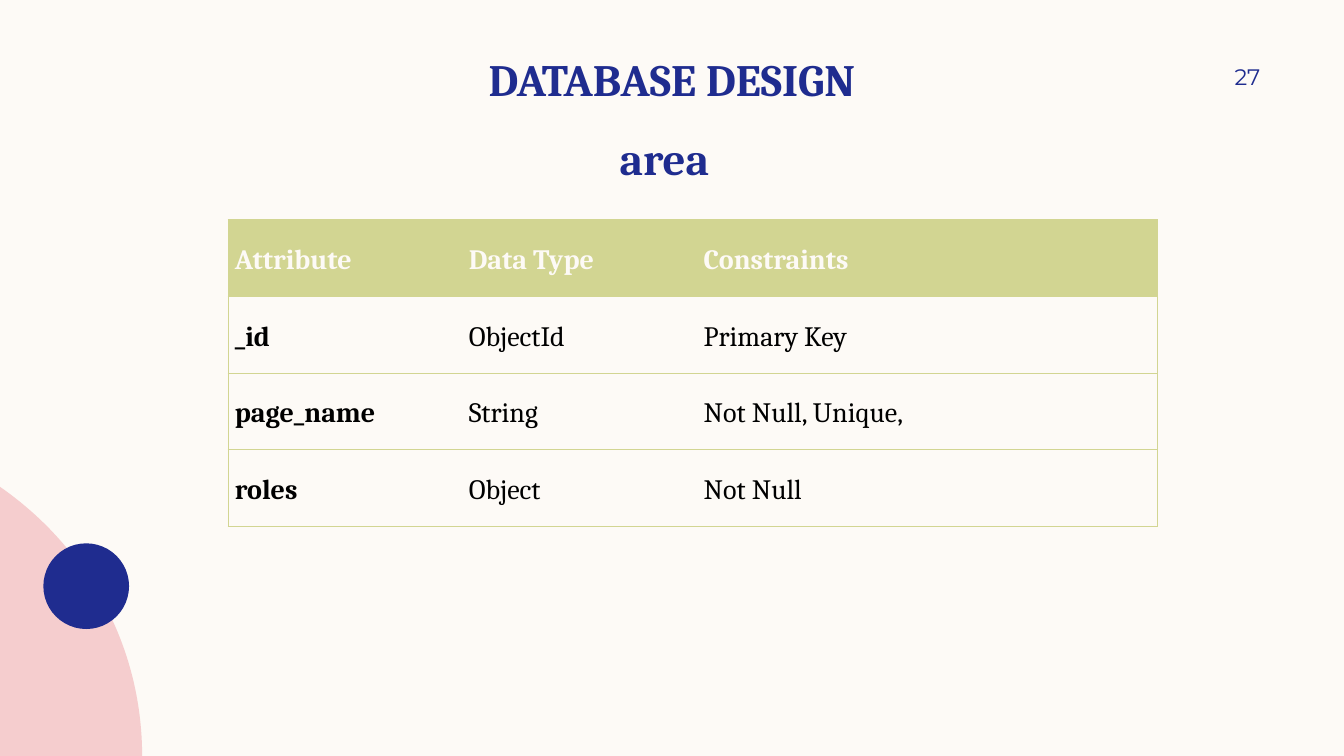
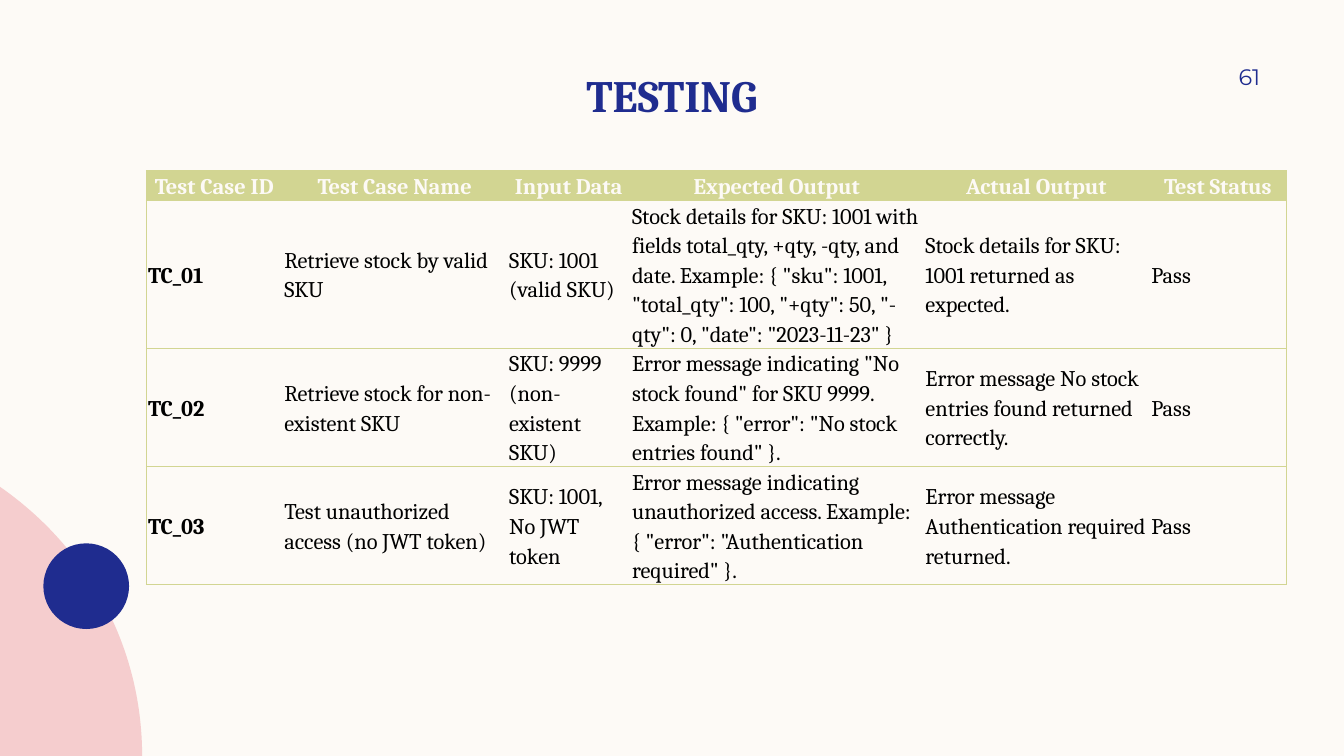
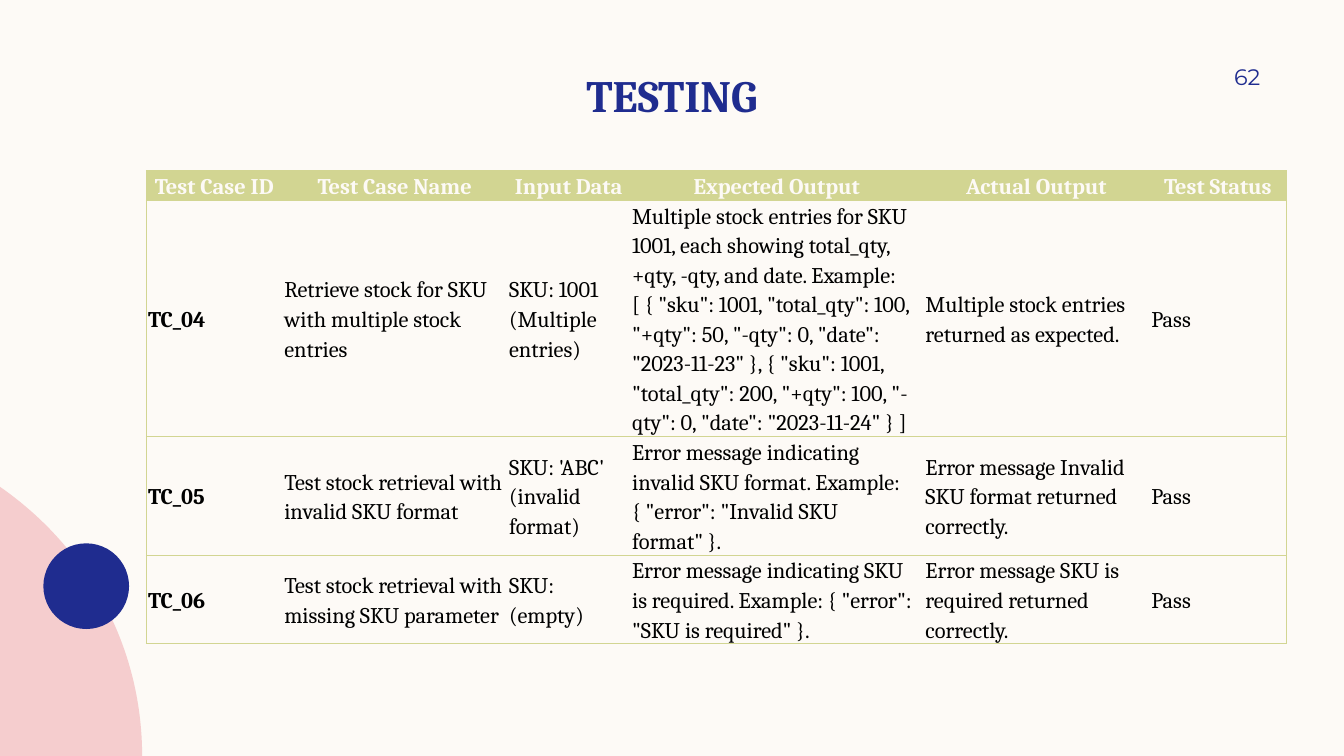
from dataclasses import dataclass

from lxml import etree
from pptx import Presentation
from pptx.dml.color import RGBColor
from pptx.enum.shapes import MSO_SHAPE
from pptx.enum.text import MSO_ANCHOR, MSO_AUTO_SIZE, PP_ALIGN
from pptx.oxml.ns import qn
from pptx.util import Pt

OVAL = MSO_SHAPE.OVAL
LEFT, CENTER, RIGHT = PP_ALIGN.LEFT, PP_ALIGN.CENTER, PP_ALIGN.RIGHT
TOP, MIDDLE, BOTTOM = MSO_ANCHOR.TOP, MSO_ANCHOR.MIDDLE, MSO_ANCHOR.BOTTOM
NO_AUTOFIT = MSO_AUTO_SIZE.NONE
EMU_PER_PX = 9144
SLIDE_W, SLIDE_H = 1333, 750
TITLE_ONLY = 5
NO_GRID_STYLE = "{2D5ABB26-0587-4C30-8999-92F81FD0307C}"


@dataclass(frozen=True)
class Theme:
    cream: str = "FDFAF6"
    navy: str = "1F2C8F"
    pink: str = "F5CDCE"
    lime: str = "D2D592"
    black: str = "000000"
    serif: str = "Cambria"
    sans: str = "Montserrat"
    title_size: int = 32
    number_size: int = 16
    border: float = 0.5


def px(value):
    return round(value * EMU_PER_PX)


def write(tf, text, *, size, font, color, bold=False, align=LEFT,
          line_spacing=None, space_after=None):
    p = tf.paragraphs[0]
    p.alignment = align
    p.line_spacing = line_spacing
    p.space_after = None if space_after is None else Pt(space_after)
    r = p.add_run()
    r.text = text
    r.font.size = Pt(size)
    r.font.name = font
    r.font.bold = bold
    r.font.color.rgb = RGBColor.from_string(color)


def bezier(start, ctrl1, ctrl2, end, steps=48):
    points = []
    for i in range(steps + 1):
        t = i / steps
        weights = ((1 - t) ** 3, 3 * t * (1 - t) ** 2, 3 * t * t * (1 - t), t ** 3)
        corners = (start, ctrl1, ctrl2, end)
        points.append(tuple(px(sum(w * c[axis] for w, c in zip(weights, corners)))
                            for axis in (0, 1)))
    return points


class Deck:
    def __init__(self, theme):
        self.theme = theme
        self.prs = Presentation()
        self.prs.slide_width, self.prs.slide_height = px(SLIDE_W), px(SLIDE_H)
        self.layout = self.prs.slide_layouts[TITLE_ONLY]
        self.slide = None
        fill = self.prs.slide_master.background.fill
        fill.solid()
        fill.fore_color.rgb = RGBColor.from_string(theme.cream)

    def new_slide(self, title, title_top, number):
        first = self.slide is None
        self.slide = self.prs.slides.add_slide(self.layout)
        if first:
            self.layout_art()
        self.title(title, title_top)
        self.text(str(number), (1142, 50, 108, 52), insets=(10, 5, 0, 5),
                  anchor=MIDDLE, size=self.theme.number_size,
                  font=self.theme.sans, color=self.theme.navy, align=RIGHT)

    def layout_art(self):
        curve = bezier((0, 483), (85, 542), (141, 639), (141, 750))
        builder = self.slide.shapes.build_freeform(*curve[0], scale=1.0)
        builder.add_line_segments(curve[1:] + [(0, px(SLIDE_H))], close=True)
        arc = builder.convert_to_shape()
        dot = self.slide.shapes.add_shape(OVAL, px(43), px(539), px(85), px(85))
        for sp, color in ((arc, self.theme.pink), (dot, self.theme.navy)):
            sp.shadow.inherit = False
            sp.fill.solid()
            sp.fill.fore_color.rgb = RGBColor.from_string(color)
            sp.line.fill.background()
            self.layout.shapes.element.append(sp.element)

    def frame(self, sp, box, insets, anchor):
        sp.left, sp.top, sp.width, sp.height = map(px, box)
        tf = sp.text_frame
        tf.word_wrap = True
        tf.auto_size = NO_AUTOFIT
        tf.vertical_anchor = anchor
        (tf.margin_left, tf.margin_top,
         tf.margin_right, tf.margin_bottom) = map(px, insets)
        return tf

    def title(self, text, top):
        tf = self.frame(self.slide.shapes.title, (0, top, SLIDE_W, 60),
                        (10, 0, 10, 0), BOTTOM)
        write(tf, text, **self.heading())

    def subtitle(self, text):
        self.text(text, (177, 130, 964, 56), insets=(10, 0, 10, 0),
                  anchor=TOP, **self.heading())

    def heading(self):
        return dict(size=self.theme.title_size, font=self.theme.serif,
                    color=self.theme.navy, bold=True, align=CENTER)

    def text(self, text, box, *, insets, anchor, **style):
        sp = self.slide.shapes.add_textbox(*map(px, box))
        write(self.frame(sp, box, insets, anchor), text, **style)

    def table(self, data, left, top, height, cols, rows, *, size, inset,
              header_align=LEFT):
        frame = self.slide.shapes.add_table(
            len(rows), len(cols), px(left), px(top), px(sum(cols)), px(height))
        table = frame.table
        table.horz_banding = False
        for style_id in frame.element.iter(qn("a:tableStyleId")):
            style_id.text = NO_GRID_STYLE
        for column, width in zip(table.columns, cols):
            column.width = px(width)
        for row, row_height in zip(table.rows, rows):
            row.height = px(row_height)
        frame.height = px(height)
        for i, values in enumerate(data):
            for j, value in enumerate(values):
                cell = table.cell(i, j)
                cell.vertical_anchor = MIDDLE
                cell.margin_left = cell.margin_right = px(inset)
                cell.margin_top = cell.margin_bottom = 0
                header = i == 0
                write(cell.text_frame, value, size=size, font=self.theme.serif,
                      color=self.theme.cream if header else self.theme.black,
                      bold=header or j == 0,
                      align=header_align if header else LEFT,
                      line_spacing=1.15, space_after=8)
                sides = ("L" * (j == 0)) + ("R" * (j == len(cols) - 1)) + "TB"
                self.borders(cell, sides)
                if header:
                    cell.fill.solid()
                    cell.fill.fore_color.rgb = RGBColor.from_string(self.theme.lime)
                else:
                    cell.fill.background()

    def borders(self, cell, sides):
        props = cell._tc.get_or_add_tcPr()
        for side in sides:
            ln = etree.SubElement(props, qn("a:ln" + side),
                                  w=str(Pt(self.theme.border)))
            fill = etree.SubElement(ln, qn("a:solidFill"))
            etree.SubElement(fill, qn("a:srgbClr"), val=self.theme.lime)


AREA_FIELDS = [
    ("Attribute", "Data Type", "Constraints"),
    ("_id", "ObjectId", "Primary Key"),
    ("page_name", "String", "Not Null, Unique,"),
    ("roles", "Object", "Not Null"),
]

TEST_HEADER = ("Test Case ID", "Test Case Name", "Input Data",
               "Expected Output", "Actual Output", "Test Status")

SINGLE_STOCK_TESTS = [
    ("TC_01", "Retrieve stock by valid SKU", "SKU: 1001 (valid SKU)",
     'Stock details for SKU: 1001 with fields total_qty, +qty, -qty, and date. '
     'Example: { "sku": 1001, "total_qty": 100, "+qty": 50, "-qty": 0, '
     '"date": "2023-11-23" }',
     "Stock details for SKU: 1001 returned as expected.", "Pass"),
    ("TC_02", "Retrieve stock for non-existent SKU",
     "SKU: 9999 (non-existent SKU)",
     'Error message indicating "No stock found" for SKU 9999. '
     'Example: { "error": "No stock entries found" }.',
     "Error message No stock entries found returned correctly.", "Pass"),
    ("TC_03", "Test unauthorized access (no JWT token)",
     "SKU: 1001, No JWT token",
     'Error message indicating unauthorized access. '
     'Example: { "error": "Authentication required" }.',
     "Error message Authentication required returned.", "Pass"),
]

MULTIPLE_STOCK_TESTS = [
    ("TC_04", "Retrieve stock for SKU with multiple stock entries",
     "SKU: 1001 (Multiple entries)",
     'Multiple stock entries for SKU 1001, each showing total_qty, +qty, -qty, '
     'and date. Example: [ { "sku": 1001, "total_qty": 100, "+qty": 50, '
     '"-qty": 0, "date": "2023-11-23" }, { "sku": 1001, "total_qty": 200, '
     '"+qty": 100, "-qty": 0, "date": "2023-11-24" } ]',
     "Multiple stock entries returned as expected.", "Pass"),
    ("TC_05", "Test stock retrieval with invalid SKU format",
     "SKU: 'ABC' (invalid format)",
     'Error message indicating invalid SKU format. '
     'Example: { "error": "Invalid SKU format" }.',
     "Error message Invalid SKU format returned correctly.", "Pass"),
    ("TC_06", "Test stock retrieval with missing SKU parameter",
     "SKU: (empty)",
     'Error message indicating SKU is required. '
     'Example: { "error": "SKU is required" }.',
     "Error message SKU is required returned correctly.", "Pass"),
]


def main():
    deck = Deck(Theme())

    deck.new_slide("DATABASE DESIGN", 45, 27)
    deck.subtitle("area")
    deck.table(AREA_FIELDS, 226, 218, 304, (232, 233, 457), (76,) * 4,
               size=20, inset=7)

    for number, tests, height, rows in (
            (61, SINGLE_STOCK_TESTS, 450, (28, 96, 77, 67)),
            (62, MULTIPLE_STOCK_TESTS, 511, (28, 154, 57, 57))):
        deck.new_slide("TESTING", 61, number)
        deck.table([TEST_HEADER] + tests, 145, 169, height,
                   (135, 223, 122, 291, 224, 136), rows,
                   size=16, inset=2, header_align=CENTER)

    deck.prs.save("out.pptx")


if __name__ == "__main__":
    main()
